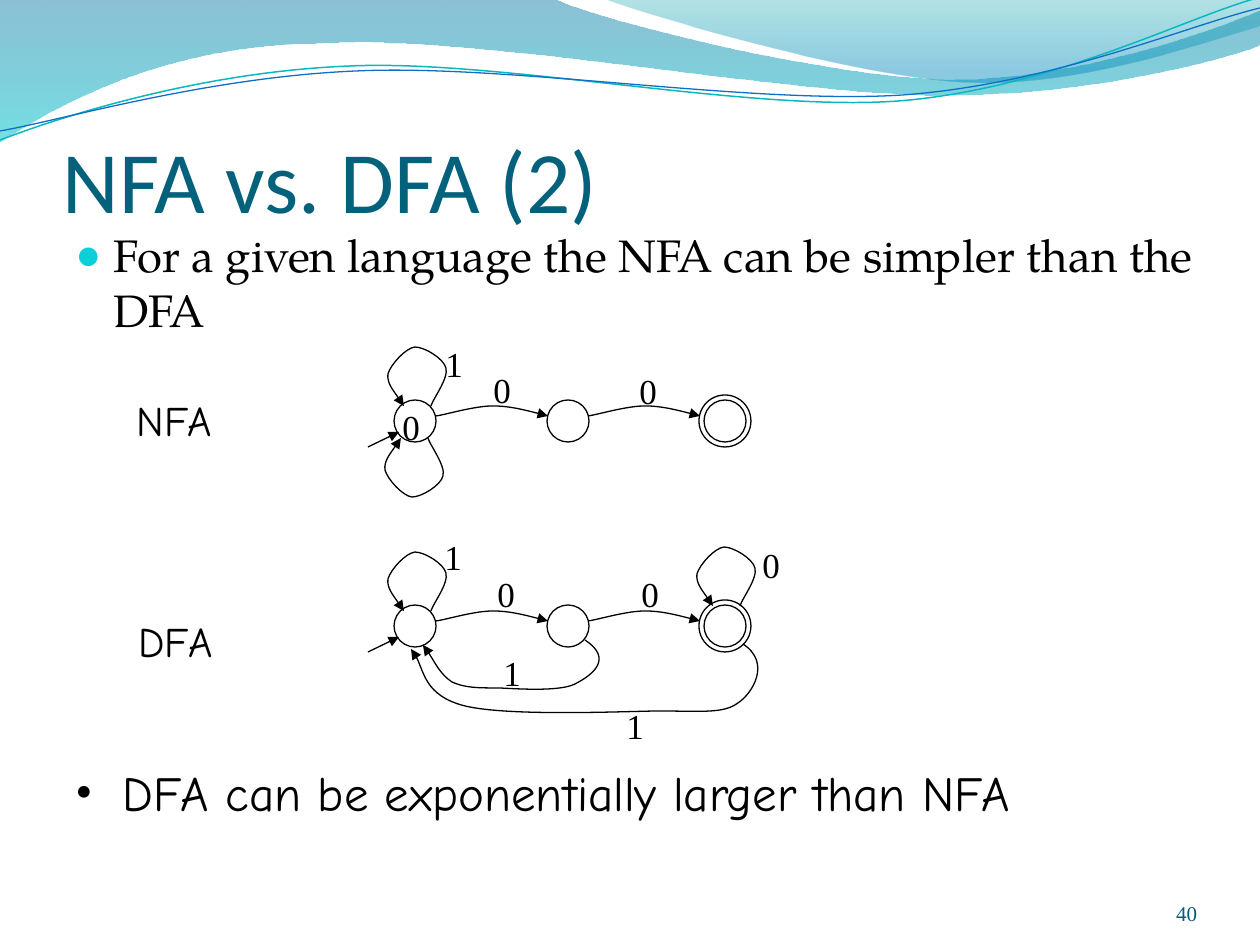
from lxml.etree import SubElement as Sub
from pptx import Presentation
from pptx.dml.color import RGBColor as RGB
from pptx.enum.shapes import MSO_CONNECTOR as Link, MSO_SHAPE as Kind
from pptx.enum.text import MSO_ANCHOR as Anchor, MSO_AUTO_SIZE as Auto, PP_ALIGN as Align
from pptx.oxml.ns import qn
from pptx.util import Pt

UNIT = 914400 / 126  # EMU in one px
BLACK = RGB(0x00, 0x00, 0x00)
TITLE = RGB(0x04, 0x61, 0x7B)
NUMBER = RGB(0x04, 0x5C, 0x75)
BULLET = RGB(0x0B, 0xD0, 0xD9)
TEAL = RGB(0x0A, 0xB8, 0xBF)
BLUE = RGB(0x0F, 0x6F, 0xC6)
DEEP = RGB(0x00, 0x74, 0xA1)
CYAN = RGB(0x00, 0xC6, 0xCF)
SEA = RGB(0x00, 0xA1, 0xA9)
SKY = RGB(0x00, 0x8B, 0xBF)
SERIF = "Times New Roman"
COMIC = "Comic Neue"

# Paths: a pair is a straight step, six numbers are a Bezier step
WAVE = [(0, -1), (554, -1), (600, 21, 837, 79, 955, 79), (1075, 79, 1207, 33, 1260, 11),
        (1261, 45), (1239, 55, 1096, 96, 940, 95), (784, 95, 481, 35, 324, 43),
        (163, 44, 58, 105, -1, 142)]
CREST = [(604, -1), (641, 14, 859, 78, 969, 82), (1079, 87, 1211, 40, 1260, 26), (1260, 0)]
RIPPLES = [
    (TEAL, 0.85, [(0, 140), (60, 117, 199, 72, 349, 66), (498, 59, 747, 112, 898, 101),
                  (1050, 89, 1182, 19, 1257, -2)]),
    (BLUE, 0.75, [(0, 131), (59, 121, 207, 77, 357, 71), (508, 64, 752, 105, 903, 95),
                  (1053, 84, 1186, 26, 1260, 8)]),
]
LOOP = [(44, 59), (46, 52, 62, 31, 59, 21), (57, 12, 38, 0, 28, 0),
        (19, 1, 4, 17, 1, 27), (0, 36, 9, 47, 17, 59)]
ARC = [(0, 10), (9, 9, 38, 0, 57, 0), (74, 0, 101, 7, 112, 10)]
SHORT = [(217, 89), (246, 108, 224, 124, 209, 132), (195, 141, 152, 138, 131, 137),
         (110, 137, 97, 137, 84, 131), (72, 123, 62, 102, 55, 94)]
LONG = [(375, 93), (404, 112, 384, 143, 370, 152), (355, 163, 334, 160, 288, 160),
        (242, 161, 139, 165, 97, 155), (57, 145, 54, 109, 43, 98)]


def px(*vals):
    return [round(v * UNIT) for v in vals]


def put(item, vals):
    for key, val in vals.items():
        setattr(item, key, val)


def outline(slide, steps, x=0, y=0, close=False):
    """Lay all points as straight steps, then join each Bezier's three."""
    spots = [px(x + a, y + b) for step in steps for a, b in zip(step[::2], step[1::2])]
    form = slide.shapes.build_freeform(*spots[0], scale=1.0)
    form.add_line_segments(spots[1:], close=close)
    shape = form.convert_to_shape()
    shape.shadow.inherit = False
    lines = shape.element.iter(qn("a:lnTo"))
    lines = iter(list(lines))
    for step in steps[1:]:
        first = next(lines)
        if len(step) == 6:
            first.tag = qn("a:cubicBezTo")
            for _ in range(2):
                extra = next(lines)
                first.append(extra[0])
                extra.getparent().remove(extra)
    return shape


def ink(shape, color=BLACK, width=0.75, head=False):
    shape.line.color.rgb = color
    shape.line.width = Pt(width)
    if head:
        Sub(shape.line._get_or_add_ln(), qn("a:tailEnd"), type="triangle")


def swash(slide, steps, stops):
    """Filled wave, fading from top to bottom."""
    shape = outline(slide, steps, close=True)
    shape.line.fill.background()
    shape.fill.gradient()
    shape.fill.gradient_angle = 270
    for stop, (pos, color, _) in zip(shape.fill.gradient_stops, stops):
        stop.position = pos
        stop.color.rgb = color
    tints = shape.element.iter(qn("a:srgbClr"))
    for tint, (_, _, alpha) in zip(list(tints), stops):
        Sub(tint, qn("a:alpha"), val=str(alpha * 1000))


def arrow(slide, steps, x, y):
    shape = outline(slide, steps, x, y)
    shape.fill.background()
    ink(shape, head=True)


def loop(slide, x, y, flip=False):
    steps = LOOP
    if flip:
        steps = [tuple(59 - v if n % 2 else v for n, v in enumerate(step)) for step in LOOP]
    arrow(slide, steps, x, y)


def state(slide, x, y, size=42):
    ring = slide.shapes.add_shape(Kind.OVAL, *px(x, y, size, size))
    ring.shadow.inherit = False
    ring.fill.background()
    ink(ring)


def text(slide, box, words, font, color=BLACK, frame=None, align=Align.LEFT, bullet=None):
    body = slide.shapes.add_textbox(*px(*box)).text_frame
    put(body, {"word_wrap": True, **(frame or {})})
    para = body.paragraphs[0]
    para.alignment = align
    if bullet:
        mark, hang, tint = bullet
        props = para._p.get_or_add_pPr()
        indent = px(hang)[0]
        props.set("marL", str(indent))
        props.set("indent", str(-indent))
        if tint:
            Sub(Sub(props, qn("a:buClr")), qn("a:srgbClr"), val=str(tint))
            Sub(props, qn("a:buSzPct"), val="95000")
        Sub(props, qn("a:buFont"), typeface=SERIF)
        Sub(props, qn("a:buChar"), char=mark)
    run = para.add_run()
    run.text = words
    name, size = font
    put(run.font, {"name": name, "size": Pt(size)})
    run.font.color.rgb = color


def label(slide, box, words, font=(SERIF, 20)):
    text(slide, box, words, font,
         frame={"word_wrap": False, "auto_size": Auto.SHAPE_TO_FIT_TEXT})


def waves(slide):
    swash(slide, WAVE, [(0, DEEP, 45), (1, CYAN, 55)])
    swash(slide, CREST, [(0, SEA, 30), (0.8, SKY, 45)])
    for color, width, steps in RIPPLES:
        line = outline(slide, steps)
        line.fill.background()
        ink(line, color, width)


def machine(slide, x, y, marks):
    """Parts that both automata share."""
    for left in (26, 179, 336):
        state(slide, x + left, y + 54)
    state(slide, x + 331, y + 49, 52)
    start = slide.shapes.add_connector(Link.STRAIGHT, *px(x, y + 101, x + 31, y + 86))
    ink(start, head=True)
    Sub(start.element.spPr, qn("a:effectLst"))
    loop(slide, x + 19, y + 1)
    for left in (68, 220):
        arrow(slide, ARC, x + left, y + 60)
    for words, left, top in marks:
        label(slide, (x + left, y + top, 43, 54), words)


def nfa(slide, x, y):
    machine(slide, x, y, [("0", 113, 16), ("0", 259, 17), ("1", 65, -10), ("0", 22, 53)])
    loop(slide, x + 16, y + 92, flip=True)


def dfa(slide, x, y):
    machine(slide, x, y, [("0", 117, 15), ("0", 261, 15), ("1", 64, -22),
                          ("1", 123, 94), ("0", 382, -14), ("1", 246, 147)])
    loop(slide, x + 328, y - 4)
    for steps in (SHORT, LONG):
        arrow(slide, steps, x, y)


def main():
    deck = Presentation()
    deck.slide_width, deck.slide_height = px(1260, 945)
    slide = deck.slides.add_slide(deck.slide_layouts[6])
    waves(slide)

    # Page number, title and lead point
    flush = {"margin_left": 0, "margin_right": 0, "margin_bottom": 0,
             "vertical_anchor": Anchor.BOTTOM}
    text(slide, (1092, 876, 105, 50), "40", (SERIF, 12), NUMBER, flush, Align.RIGHT)
    text(slide, (63, 74, 1134, 157), "NFA vs. DFA (2)", ("Calibri", 50), TITLE, flush)
    text(slide, (63, 221, 1144, 126),
         "For a given language the NFA can be simpler than the DFA",
         ("TeX Gyre Pagella", 26), bullet=("●", 38, BULLET))

    # Diagrams with their names
    nfa(slide, 368, 346)
    dfa(slide, 368, 551)
    label(slide, (124, 388, 115, 63), "NFA", (COMIC, 24))
    label(slide, (126, 609, 112, 63), "DFA", (COMIC, 24))

    # Closing point
    text(slide, (63, 756, 1144, 84), "DFA can be exponentially larger than NFA",
         (COMIC, 28), bullet=("•", 47, None))
    deck.save("out.pptx")


if __name__ == "__main__":
    main()
